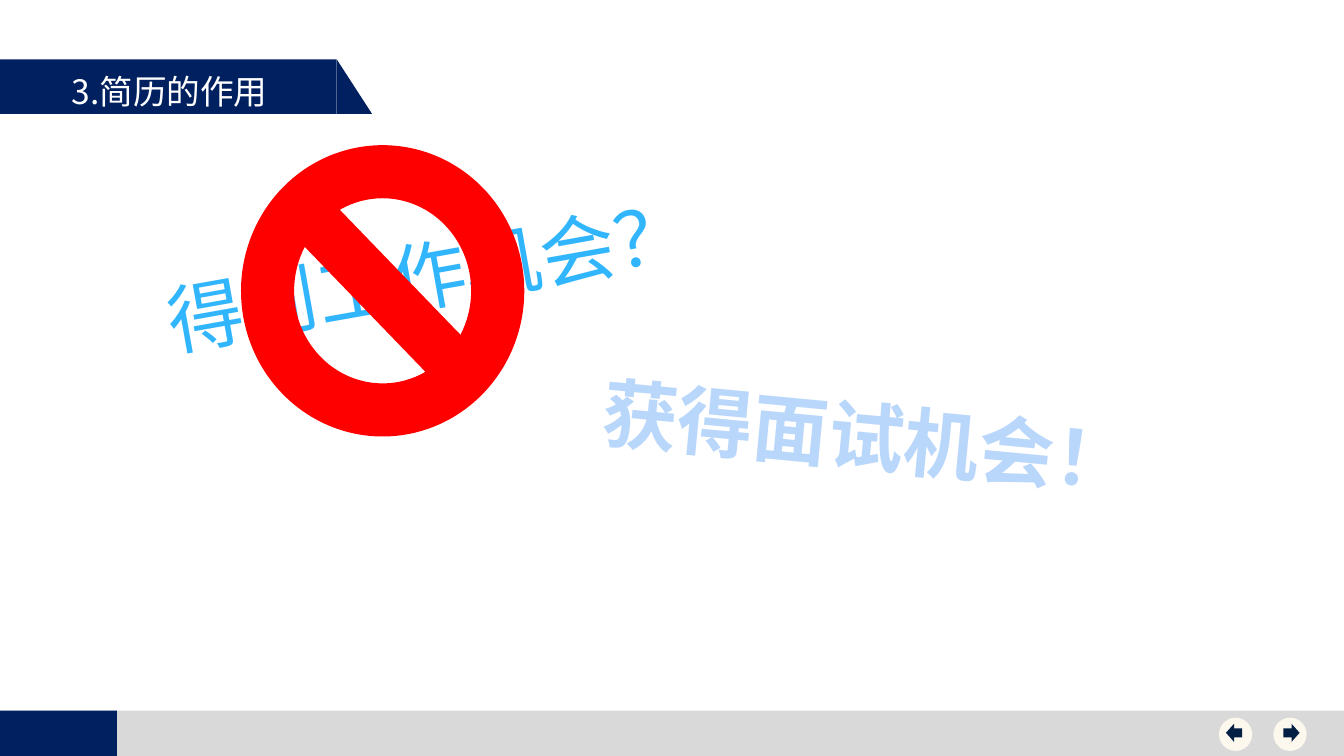
from pptx import Presentation
from pptx.dml.color import RGBColor
from pptx.enum import shapes, text
from pptx.util import Inches, Pt

COLORS = {
    "navy": "002060",
    "gray": "D9D9D9",
    "cream": "FCF8ED",
    "arrow": "041F44",
    "red": "FF0000",
    "blue": "31B6FD",
    "pale": "B9D6FB",
    "white": "FFFFFF",
}
SHAPE = shapes.MSO_SHAPE


def add_block(s, kind, box, color):
    sp = s.shapes.add_shape(kind, *map(Inches, box))
    sp.shadow.inherit = False
    sp.fill.solid()
    sp.fill.fore_color.rgb = RGBColor.from_string(COLORS[color])
    sp.line.fill.background()
    return sp


def write(tf, words, size, font, color, align, bold=False):
    tf.text = words
    tf.vertical_anchor = text.MSO_ANCHOR.TOP
    p = tf.paragraphs[0]
    p.alignment = align
    r = p.runs[0]
    r.font.size = Pt(size)
    r.font.name = font
    r.font.bold = bold
    r.font.color.rgb = RGBColor.from_string(COLORS[color])


def add_nav_button(s, x, y, kind, arrow_dx):
    add_block(s, SHAPE.OVAL, (x, y, 0.33, 0.33), "cream")
    add_block(s, kind, (x + arrow_dx, y + 0.06, 0.16, 0.18), "arrow")


def add_footer(s, x, y, w, h):
    add_block(s, SHAPE.RECTANGLE, (x, y, w, h), "gray")
    add_block(s, SHAPE.RECTANGLE, (x, y, 1.16, h), "navy")
    add_nav_button(s, x + w - 0.7, y + 0.07, SHAPE.RIGHT_ARROW, 0.1)
    add_nav_button(s, x + w - 1.24, y + 0.07, SHAPE.LEFT_ARROW, 0.07)


def add_heading(s, x, y, w, h, words):
    tip = 0.35
    add_block(s, SHAPE.RECTANGLE, (x, y, w - tip, h), "navy")
    add_block(s, SHAPE.RIGHT_TRIANGLE, (x + w - tip, y, tip, h), "navy")
    title = s.shapes.title
    title.left, title.top = Inches(x + 0.61), Inches(y + 0.06)
    title.width, title.height = Inches(w - 0.61), Inches(0.51)
    write(title.text_frame, words, 24, "Noto Sans CJK SC", "white",
          text.PP_ALIGN.LEFT)
    title.text_frame.auto_size = text.MSO_AUTO_SIZE.NONE
    s.shapes.element.append(title.element)


def add_slogan(s, box, angle, words, color, bold=False):
    sp = s.shapes.add_textbox(*map(Inches, box))
    sp.rotation = angle
    tf = sp.text_frame
    tf.word_wrap = False
    write(tf, words, 54, "Calibri", color, text.PP_ALIGN.CENTER, bold)


def add_message(s, x, y):
    add_slogan(s, (x, y + 0.78, 5.5, 1.01), 349.9, "得到工作机会？", "blue")
    add_block(s, SHAPE.NO_SYMBOL, (x + 0.89, y, 2.81, 2.89), "red")
    add_slogan(s, (x + 4.33, y + 2.38, 5.53, 1.01), 5.4,
               "获得面试机会！", "pale", True)


def main():
    prs = Presentation()
    prs.slide_width, prs.slide_height = Inches(13.33), Inches(7.5)
    s = prs.slides.add_slide(prs.slide_layouts[5])
    add_footer(s, 0, 7.05, 13.33, 0.46)
    add_heading(s, 0, 0.59, 3.69, 0.54, "3.简历的作用")
    add_message(s, 1.5, 1.44)
    prs.save("out.pptx")


if __name__ == "__main__":
    main()
